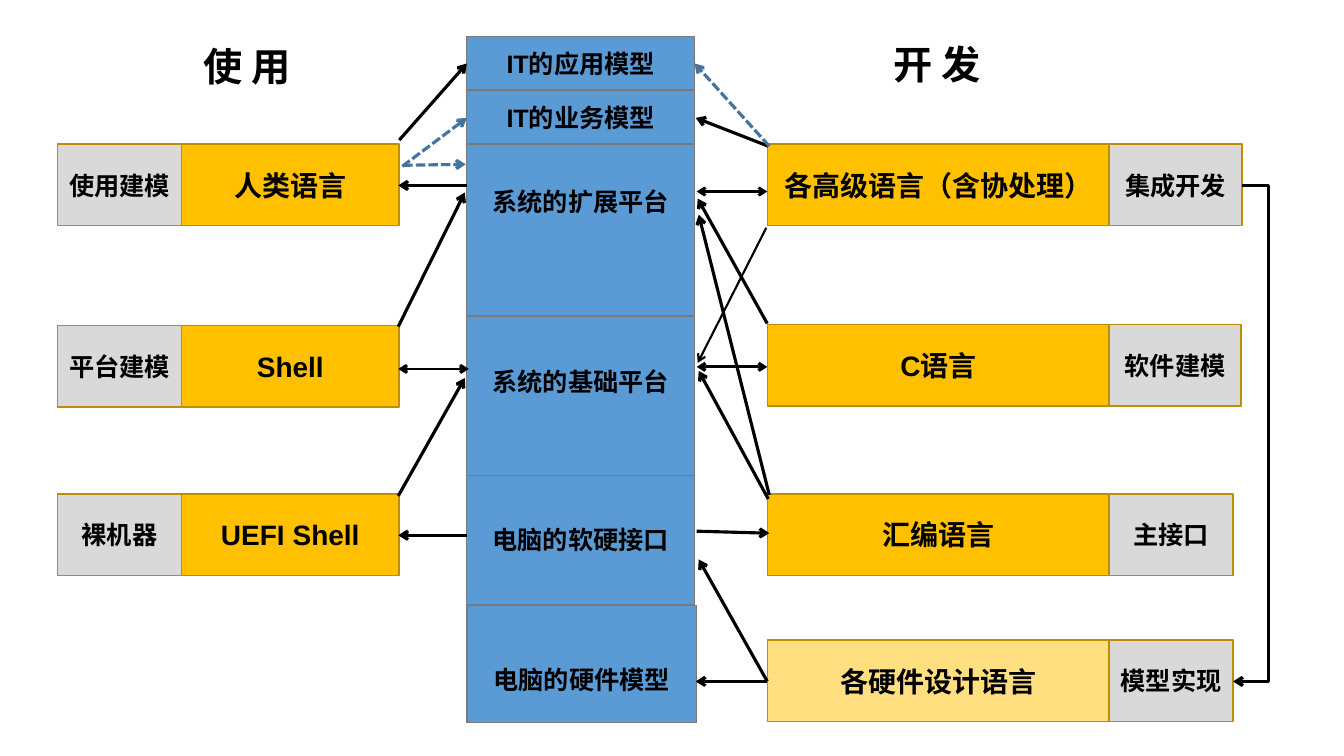
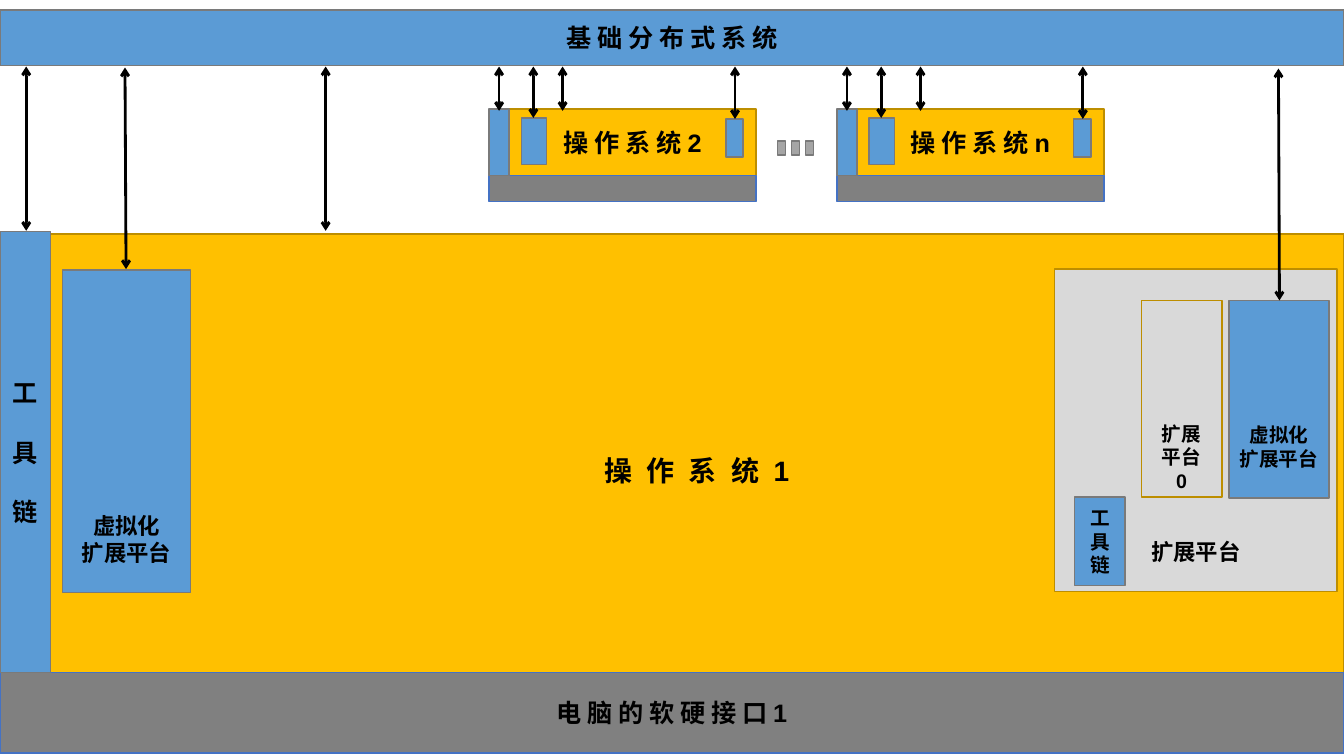
from lxml import etree
from pptx import Presentation
from pptx.dml.color import RGBColor
from pptx.enum.dml import MSO_LINE
from pptx.enum.shapes import MSO_CONNECTOR, MSO_SHAPE
from pptx.enum.text import MSO_ANCHOR, PP_ALIGN
from pptx.oxml.ns import qn
from pptx.util import Pt

PX = 9144
FONT = "Arial"
RECT = MSO_SHAPE.RECTANGLE
STRAIGHT, ELBOW = MSO_CONNECTOR.STRAIGHT, MSO_CONNECTOR.ELBOW
MIDDLE, CENTER = MSO_ANCHOR.MIDDLE, PP_ALIGN.CENTER
DASH = MSO_LINE.SQUARE_DOT

COLORS = {
    "black": "000000", "blue": "5B9BD5", "edge": "7A7A7A", "gold": "FFC000",
    "bronze": "BD8E00", "light": "D9D9D9", "dark": "808080", "royal": "4472C4",
    "dot": "A5A5A5", "steel": "43739E",
}
STYLES = {
    "platform": ("blue", "edge"),
    "language": ("gold", "bronze"),
    "role": ("light", "bronze"),
    "hardware": ("dark", "royal"),
    "ellipsis": ("dot", "edge"),
}

HEADINGS = [("使 用", 192, 37), ("开 发", 876, 35)]
MODELS = [
    ("IT的应用模型", 36, 53, 226, 0),
    ("IT的业务模型", 90, 53, 226, 0),
    ("系统的扩展平台", 143, 170, 226, -28),
    ("系统的基础平台", 314, 158, 226, -15),
    ("电脑的软硬接口", 471, 129, 226, 0),
    ("电脑的硬件模型", 601, 116, 228, 15),
]
USAGE = [
    ("使用建模", "人类语言", 143),
    ("平台建模", "Shell", 323),
    ("裸机器", "UEFI Shell", 490),
]
DEVELOPMENT = [
    ("各高级语言（含协处理）", "集成开发", 143, 132, None),
    ("C语言", "软件建模", 322, 131, None),
    ("汇编语言", "主接口", 490, 123, None),
    ("各硬件设计语言", "模型实现", 635, 123, 50),
]
ROW_HEIGHT = 81
ONE_WAY = [
    (463, 184, 395, 184), (761, 676, 690, 676), (463, 531, 395, 531),
    (761, 676, 693, 555), (691, 527, 763, 529), (762, 495, 693, 368),
    (763, 491, 693, 213), (761, 321, 692, 197), (395, 324, 461, 191),
    (395, 492, 461, 375), (762, 145, 690, 117), (396, 139, 463, 63),
]
THIN = (760, 226, 692, 360)
TWO_WAY = [(761, 190, 691, 190), (761, 364, 691, 364), (465, 366, 395, 366)]
DASHED = [(400, 164, 462, 163), (399, 165, 463, 117), (763, 145, 689, 63)]
FEEDBACK = (1232, 184, 1223, 676)
FEEDBACK_TURN = 1258

SYSTEM_BLOCKS = [
    ("language", "操 作 系 统 1", (49, 232, 1284, 437), dict(size=20, shift=16, spacing=2.8)),
    ("hardware", "电 脑 的 软 硬 接 口 1", (0, 667, 1333, 80), {}),
    ("role", "扩展平台", (1046, 267, 280, 320), dict(size=16, shift=120)),
    ("role", "扩展\n平台\n0", (1132, 298, 80, 195), dict(size=14, shift=58)),
    ("platform", "工\n具\n链", (0, 230, 50, 437), dict(gap=21)),
    ("platform", "工\n具\n链", (1066, 493, 50, 88), dict(size=14)),
    ("platform", "虚拟化\n扩展平台", (62, 268, 127, 320), dict(size=16, shift=107)),
    ("platform", "虚拟化\n扩展平台", (1219, 298, 99, 196), dict(size=14, shift=47)),
    ("platform", "基 础 分 布 式 系 统", (0, 10, 1333, 55), {}),
]
NODES = [("操 作 系 统 2", 485, 73), ("操 作 系 统 n", 830, 83)]
NODE_WIDTH, TOOLS_WIDTH = 265, 20
ELLIPSIS = (771, 140, 8, 14)
SYSTEM_LINKS = [
    (323, 66, 323, 229), (26, 66, 26, 229),
    (124, 67, 125, 267), (1268, 68, 1269, 298),
]


def rgb(name):
    return RGBColor.from_string(COLORS[name])


def assign(target, **values):
    for name, value in values.items():
        setattr(target, name, value)


def write(frame, text, size, gap=0, spacing=0, align=None):
    frame.text = text
    for index, paragraph in enumerate(frame.paragraphs):
        if align is not None:
            paragraph.alignment = align
        if gap and index:
            paragraph.space_before = Pt(gap)
        for run in paragraph.runs:
            assign(run.font, name=FONT, size=Pt(size), bold=True)
            run.font.color.rgb = rgb("black")
            if spacing:
                run.font._element.set("spc", str(round(spacing * 100)))


def block(slide, style, text, area, size=18, shift=0, gap=0, spacing=0, opacity=None):
    shape = slide.shapes.add_shape(RECT, *(value * PX for value in area))
    fill, edge = STYLES[style]
    shape.shadow.inherit = False
    shape.fill.solid()
    shape.fill.fore_color.rgb = rgb(fill)
    shape.line.color.rgb = rgb(edge)
    shape.line.width = Pt(1)
    if opacity is not None:
        color = shape._element.spPr.find(qn("a:solidFill"))[0]
        etree.SubElement(color, qn("a:alpha")).set("val", str(opacity * 1000))
    if text:
        assign(shape.text_frame, word_wrap=True, vertical_anchor=MIDDLE,
               margin_left=4 * PX, margin_right=4 * PX,
               margin_top=(5 + max(0, 2 * shift)) * PX,
               margin_bottom=(5 + max(0, -2 * shift)) * PX)
        write(shape.text_frame, text, size, gap, spacing, CENTER)


def arrow(slide, ends, width=2.25, color="black", both=False, dash=None, turn=None):
    kind = STRAIGHT if turn is None else ELBOW
    link = slide.shapes.add_connector(kind, *(value * PX for value in ends))
    link.line.color.rgb = rgb(color)
    link.line.width = Pt(width)
    if dash is not None:
        link.line.dash_style = dash
    properties = link._element.spPr
    outline = properties.find(qn("a:ln"))
    for end in ("a:headEnd", "a:tailEnd") if both else ("a:tailEnd",):
        etree.SubElement(outline, qn(end)).set("type", "arrow")
    etree.SubElement(properties, qn("a:effectLst"))
    if turn is not None:
        ratio = (turn - ends[0]) / (ends[2] - ends[0])
        geometry = properties.find(qn("a:prstGeom"))
        adjustments = geometry.find(qn("a:avLst"))
        if adjustments is None:
            adjustments = etree.SubElement(geometry, qn("a:avLst"))
        guide = etree.SubElement(adjustments, qn("a:gd"))
        guide.set("name", "adj1")
        guide.set("fmla", f"val {round(ratio * 100000)}")


def build_languages(slide):
    for text, left, top in HEADINGS:
        box = slide.shapes.add_textbox(left * PX, top * PX, 187 * PX, 57 * PX)
        box.text_frame.word_wrap = True
        write(box.text_frame, text, 28)
    for text, top, height, width, shift in reversed(MODELS):
        block(slide, "platform", text, (463, top, width, height), shift=shift)
    for role, language, top in USAGE:
        block(slide, "language", language, (180, top, 216, ROW_HEIGHT), size=20)
        block(slide, "role", role, (57, top, 123, ROW_HEIGHT))
    for language, role, top, width, opacity in DEVELOPMENT:
        block(slide, "language", language, (761, top, 340, ROW_HEIGHT), size=20, opacity=opacity)
        block(slide, "role", role, (1100, top, width, ROW_HEIGHT))
    for ends in ONE_WAY:
        arrow(slide, ends)
    arrow(slide, THIN, width=1.5)
    for ends in TWO_WAY:
        arrow(slide, ends, width=2, both=True)
    for ends in DASHED:
        arrow(slide, ends, color="steel", dash=DASH)
    arrow(slide, FEEDBACK, turn=FEEDBACK_TURN)


def build_systems(slide):
    for style, text, area, options in SYSTEM_BLOCKS:
        block(slide, style, text, area, **options)
    links = list(SYSTEM_LINKS)
    for name, left, direct in NODES:
        system_width = NODE_WIDTH - TOOLS_WIDTH
        block(slide, "language", name, (left + TOOLS_WIDTH, 108, system_width, 66))
        block(slide, "hardware", "", (left, 174, NODE_WIDTH, 26))
        block(slide, "platform", "", (left, 108, TOOLS_WIDTH, 66))
        block(slide, "platform", "", (left + 32, 117, 25, 46))
        block(slide, "platform", "", (left + 235, 118, 17, 38))
        for offset, bottom in ((10, 110), (44, 117), (direct, 110), (244, 118)):
            links.append((left + offset, 66, left + offset, bottom))
    left, top, width, height = ELLIPSIS
    for index in range(3):
        block(slide, "ellipsis", "", (left + 14 * index, top, width, height))
    for ends in links:
        arrow(slide, ends, width=2, both=True)


def main():
    deck = Presentation()
    assign(deck, slide_width=1333 * PX, slide_height=750 * PX)
    for build in (build_languages, build_systems):
        build(deck.slides.add_slide(deck.slide_layouts[6]))
    deck.save("out.pptx")


if __name__ == "__main__":
    main()
